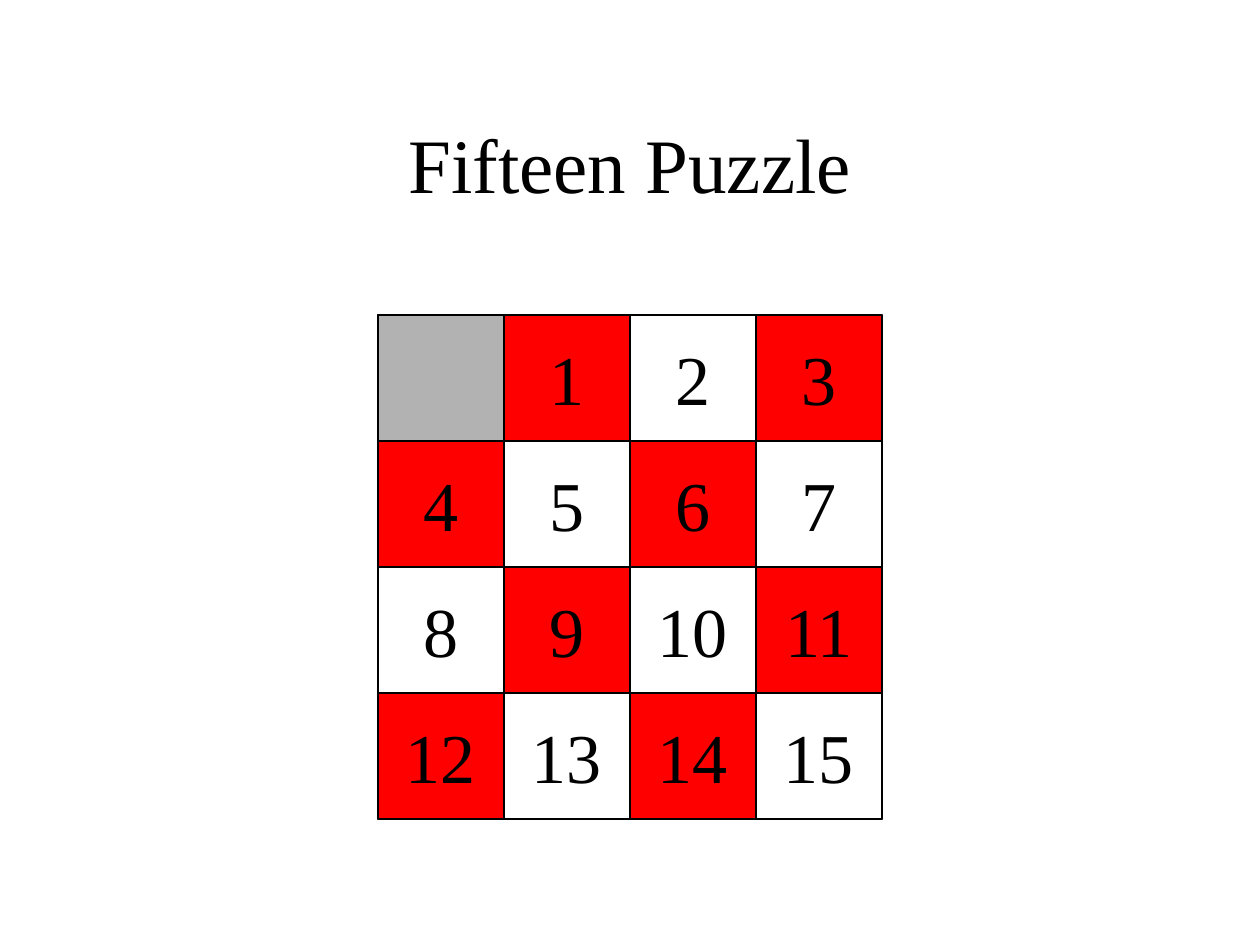
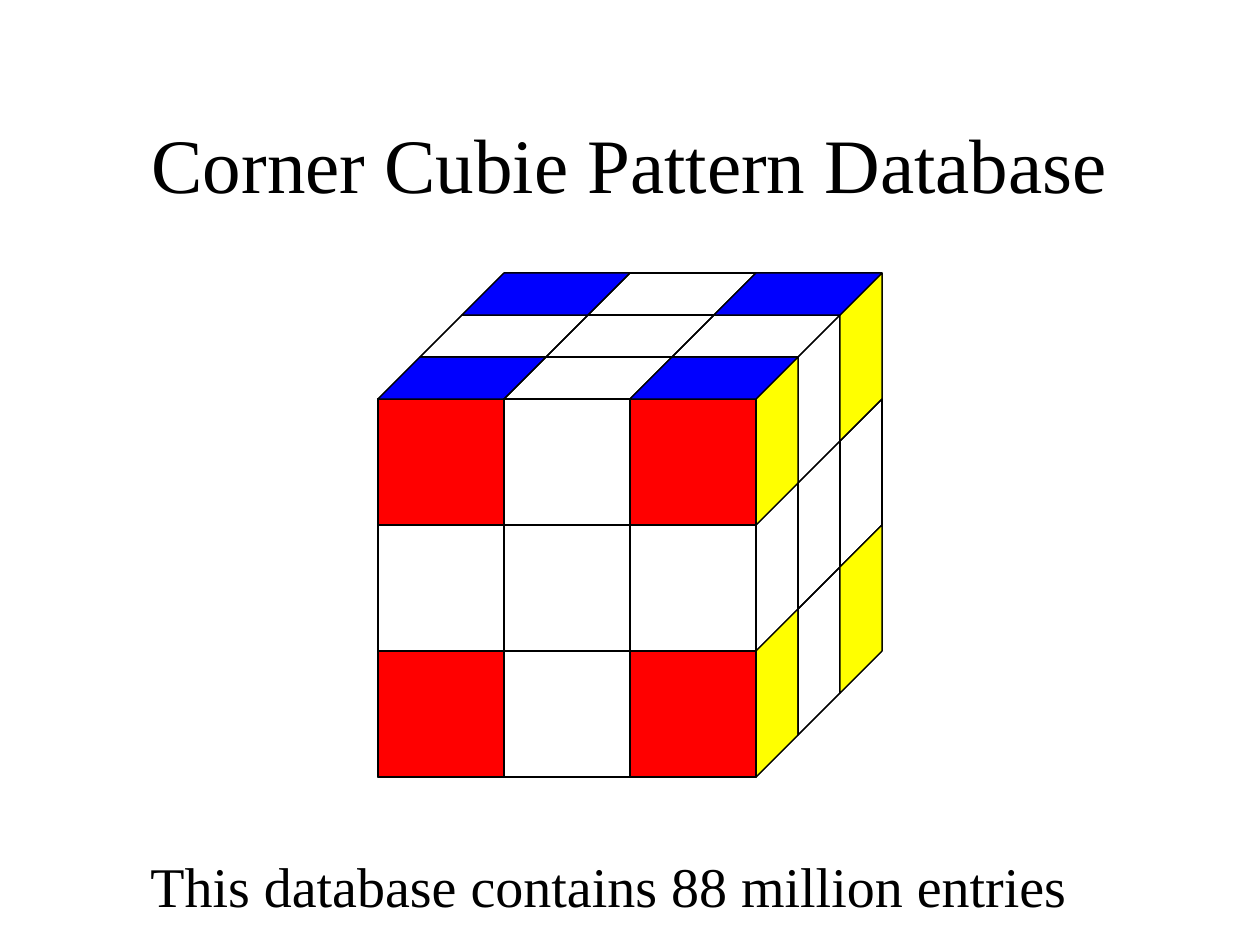
import pptx
import pptx.dml.color
import pptx.enum.shapes
import pptx.enum.text
import pptx.util
from lxml import etree
from pptx.oxml.ns import qn

Pt = pptx.util.Pt
RGBColor = pptx.dml.color.RGBColor
Shape = pptx.enum.shapes.MSO_SHAPE
Align = pptx.enum.text.PP_ALIGN
Anchor = pptx.enum.text.MSO_ANCHOR

BLACK = RGBColor(0, 0, 0)
GRAY = RGBColor(0xB2, 0xB2, 0xB2)
RED = RGBColor(0xFF, 0, 0)
BLUE = RGBColor(0, 0, 0xFF)
YELLOW = RGBColor(0xFF, 0xFF, 0)
FONT = "Times New Roman"
LINE_WIDTH = 0.75
TILE = 72
DEPTH = TILE / 3
BOARD_LEFT, BOARD_TOP, BOARD_SIZE = 216, 180, 4 * TILE
CUBE_LEFT, CUBE_TOP, CUBE_SIZE = 216, 228, 3 * TILE
CUBE_RIGHT = CUBE_LEFT + CUBE_SIZE
CORNERS = (0, 2)


def add_piece(shapes, kind, left, top, width, height, color=None):
    piece = shapes.add_shape(kind, Pt(left), Pt(top), Pt(width), Pt(height))
    piece.shadow.inherit = False
    if color is None:
        piece.fill.background()
    else:
        piece.fill.solid()
        piece.fill.fore_color.rgb = color
    piece.line.color.rgb = BLACK
    piece.line.width = Pt(LINE_WIDTH)
    return piece


def write_text(shape, text, size):
    paragraph = shape.text_frame.paragraphs[0]
    paragraph.alignment = Align.CENTER
    run = paragraph.add_run()
    run.text = text
    run.font.name = FONT
    run.font.size = Pt(size)
    run.font.color.rgb = BLACK


presentation = pptx.Presentation()
presentation.slide_width = Pt(720)
presentation.slide_height = Pt(540)

slides = []
for title_text in ("Fifteen Puzzle", "Corner Cubie Pattern Database"):
    slide = presentation.slides.add_slide(presentation.slide_layouts[5])
    title = slide.shapes.title
    title.left, title.top, title.width, title.height = Pt(54), Pt(48), Pt(612), Pt(90)
    title.text_frame.auto_size = pptx.enum.text.MSO_AUTO_SIZE.NONE
    title.text_frame.vertical_anchor = Anchor.MIDDLE
    write_text(title, title_text, 44)
    slides.append(slide)
puzzle_slide, cube_slide = slides
cube = cube_slide.shapes.add_group_shape()

add_piece(puzzle_slide.shapes, Shape.RECTANGLE, BOARD_LEFT, BOARD_TOP, BOARD_SIZE, BOARD_SIZE)
add_piece(cube.shapes, Shape.RECTANGLE, CUBE_LEFT, CUBE_TOP, CUBE_SIZE, CUBE_SIZE)

board_lines = []
for index in range(1, 4):
    x = BOARD_LEFT + index * TILE
    y = BOARD_TOP + index * TILE
    board_lines.append((x, BOARD_TOP, x, BOARD_TOP + BOARD_SIZE))
    board_lines.append((BOARD_LEFT, y, BOARD_LEFT + BOARD_SIZE, y))

cube_lines = []
for index in range(4):
    x = CUBE_LEFT + index * TILE
    y = CUBE_TOP + index * TILE
    shift = index * DEPTH
    cube_lines.append((x, CUBE_TOP, x + TILE, CUBE_TOP - TILE))
    if index > 0:
        cube_lines.append((CUBE_RIGHT, y, CUBE_RIGHT + TILE, y - TILE))
        cube_lines.append((CUBE_LEFT + shift, CUBE_TOP - shift, CUBE_RIGHT + shift, CUBE_TOP - shift))
        cube_lines.append((CUBE_RIGHT + shift, CUBE_TOP - shift,
                           CUBE_RIGHT + shift, CUBE_TOP + CUBE_SIZE - shift))
    if index in (1, 2):
        cube_lines.append((x, CUBE_TOP, x, CUBE_TOP + CUBE_SIZE))
        cube_lines.append((CUBE_LEFT, y, CUBE_RIGHT, y))

for shapes, lines in ((puzzle_slide.shapes, board_lines), (cube.shapes, cube_lines)):
    for line in lines:
        connector = shapes.add_connector(
            pptx.enum.shapes.MSO_CONNECTOR.STRAIGHT, *[Pt(length) for length in line])
        connector.line.color.rgb = BLACK
        connector.line.width = Pt(LINE_WIDTH)
        etree.SubElement(connector._element.spPr, qn("a:effectLst"))

for number in range(16):
    row, column = divmod(number, 4)
    color = RED if (row + column) % 2 else None
    if number == 0:
        color = GRAY
    tile = add_piece(puzzle_slide.shapes, Shape.RECTANGLE, BOARD_LEFT + column * TILE,
                     BOARD_TOP + row * TILE, TILE, TILE, color)
    if number > 0:
        tile.text_frame.word_wrap = False
        tile.text_frame.vertical_anchor = Anchor.MIDDLE
        write_text(tile, str(number), 40)

for row in range(3):
    for column in range(3):
        is_corner = row in CORNERS and column in CORNERS
        add_piece(cube.shapes, Shape.RECTANGLE, CUBE_LEFT + column * TILE,
                  CUBE_TOP + row * TILE, TILE, TILE, RED if is_corner else None)

        top_face = add_piece(cube.shapes, Shape.PARALLELOGRAM,
                             CUBE_LEFT + column * TILE + row * DEPTH,
                             CUBE_TOP - (row + 1) * DEPTH,
                             TILE + DEPTH, DEPTH, BLUE if is_corner else None)
        top_face.adjustments[0] = 1

        if (row, column) in ((0, 1), (1, 0)):
            continue
        center_x = CUBE_RIGHT + (column + 0.5) * DEPTH
        center_y = CUBE_TOP + (row + 0.5) * TILE - (column + 0.5) * DEPTH
        side_face = add_piece(cube.shapes, Shape.PARALLELOGRAM,
                              center_x - (TILE + DEPTH) / 2, center_y - DEPTH / 2,
                              TILE + DEPTH, DEPTH, YELLOW if is_corner else None)
        side_face.adjustments[0] = 1
        side_face.rotation = 270
        side_face._element.spPr.xfrm.set("flipH", "1")

caption = cube_slide.shapes.add_textbox(Pt(72), Pt(483), Pt(552), Pt(43))
caption.text_frame.word_wrap = True
write_text(caption, "This database contains 88 million entries", 32)

presentation.save("out.pptx")
